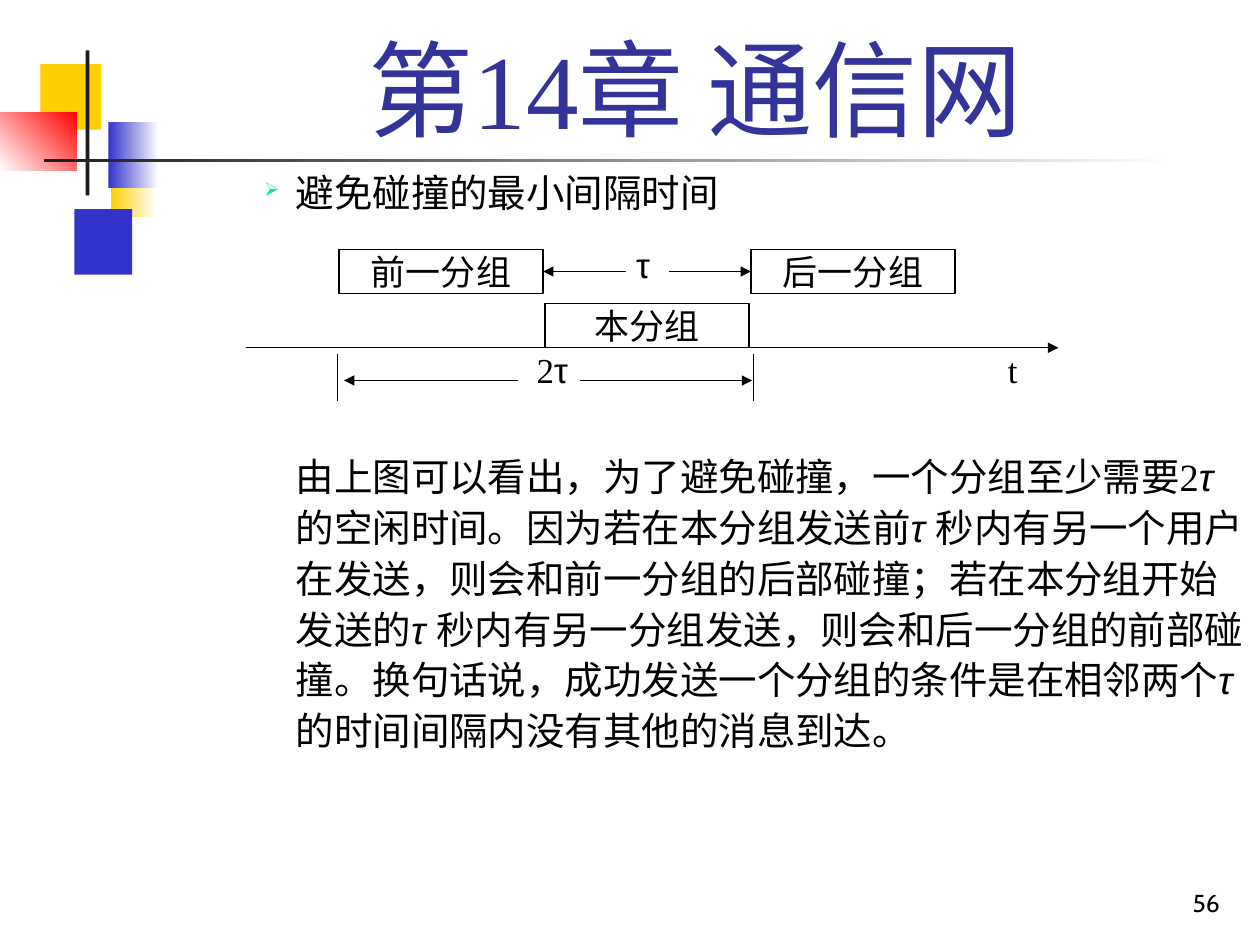
"""Build the slide on the minimum collision-free interval between packets."""
from lxml import etree
from pptx import Presentation
from pptx.dml.color import RGBColor
from pptx.enum import shapes, text
from pptx.oxml import ns
from pptx.util import Inches, Pt

BLACK = RGBColor(0, 0, 0)
WHITE = RGBColor(255, 255, 255)
YELLOW = RGBColor(0xFF, 0xCF, 0x01)
BLUE = RGBColor(0x33, 0x33, 0xCC)
RED = RGBColor(255, 0, 0)
CHARCOAL = RGBColor(0x1C, 0x1C, 0x1C)
TITLE_BLUE = RGBColor(0x33, 0x33, 0x99)
BULLET_GREEN = "00E4A8"
SERIF, SANS, NUMBER_FONT = "Times New Roman", "Arial", "Cabin"

TITLE = "第14章 通信网"
HEADING = "避免碰撞的最小间隔时间"
EXPLANATION = [
    "由上图可以看出，为了避免碰撞，一个分组至少需要2", "τ ",
    "的空闲时间。因为若在本分组发送前", "τ ",
    "秒内有另一个用户在发送，则会和前一分组的后部碰撞；若在本分组开始发送的", "τ ",
    "秒内有另一分组发送，则会和后一分组的前部碰撞。换句话说，成功发送一个分组的条件是在相邻两个", "τ ",
    "的时间间隔内没有其他的消息到达。",
]
PAGE_NUMBER = "56"

# left, top, width, height, colour, gradient angle (None for solid)
DECORATIONS = [
    (0.88, 1.2, 0.36, 0.52, YELLOW, 0),
    (0.59, 1.66, 0.46, 0.52, BLUE, None),
    (0.32, 0.51, 0.48, 0.52, YELLOW, None),
    (0.86, 0.97, 0.4, 0.52, BLUE, 0),
    (0, 0.89, 0.61, 0.46, RED, 225),
    (0.68, 0.4, 0.03, 1.15, CHARCOAL, None),
    (0.35, 1.26, 9, 0.03, CHARCOAL, 0),
]
PACKETS = [("前一分组", 1.98), ("本分组", 2.41), ("后一分组", 1.98)]
PACKET_LEFT, PACKET_STEP, PACKET_WIDTH, PACKET_HEIGHT = 2.69, 1.635, 1.62, 0.35
AXIS_Y, SPAN_Y, DELAY_Y = 2.76, 3.02, 2.155
SPAN_LEFT, SPAN_RIGHT = 2.68, 5.98
LABELS = [
    ([("2", SERIF), ("τ", SANS)], 4.16, 2.72, 0.55),
    ([("τ", SANS)], 4.95, 1.88, 0.44),
    ([("t", SERIF)], 7.9, 2.72, 0.37),
]


def add_rectangle(slide, left, top, width, height):
    shape = slide.shapes.add_shape(
        shapes.MSO_SHAPE.RECTANGLE, Inches(left), Inches(top), Inches(width), Inches(height))
    shape.shadow.inherit = False
    return shape


def add_decoration(slide, left, top, width, height, colour, angle):
    shape = add_rectangle(slide, left, top, width, height)
    shape.line.fill.background()
    if angle is None:
        shape.fill.solid()
        shape.fill.fore_color.rgb = colour
        return
    shape.fill.gradient()
    shape.fill.gradient_angle = angle
    for stop, stop_colour in zip(shape.fill.gradient_stops, (colour, WHITE)):
        stop.color.rgb = stop_colour


def add_line(slide, x1, y1, x2, y2, arrow=None):
    line = slide.shapes.add_connector(
        shapes.MSO_CONNECTOR.STRAIGHT, Inches(x1), Inches(y1), Inches(x2), Inches(y2))
    line.line.color.rgb = BLACK
    line.line.width = Pt(0.75)
    if arrow:
        etree.SubElement(line.line._get_or_add_ln(), ns.qn(f"a:{arrow}"), type="triangle")
    etree.SubElement(line._element.spPr, ns.qn("a:effectLst"))
    return line


def add_text_box(slide, left, top, width, height, anchor=text.MSO_ANCHOR.TOP):
    frame = slide.shapes.add_textbox(
        Inches(left), Inches(top), Inches(width), Inches(height)).text_frame
    frame.word_wrap = True
    frame.vertical_anchor = anchor
    return frame


def style(paragraph, size, font=None, colour=BLACK, alignment=None):
    paragraph.font.size = Pt(size)
    paragraph.font.color.rgb = colour
    if font:
        paragraph.font.name = font
    if alignment is not None:
        paragraph.alignment = alignment


def add_run(paragraph, words, font, italic=None):
    run = paragraph.add_run()
    run.text = words
    run.font.name = font
    run.font.italic = italic


def add_packet(slide, name, left, top):
    shape = add_rectangle(slide, left, top, PACKET_WIDTH, PACKET_HEIGHT)
    shape.fill.solid()
    shape.fill.fore_color.rgb = WHITE
    shape.line.color.rgb = BLACK
    shape.line.width = Pt(0.75)
    frame = shape.text_frame
    frame.margin_top = frame.margin_bottom = 0
    frame.vertical_anchor = text.MSO_ANCHOR.MIDDLE
    frame.text = name
    style(frame.paragraphs[0], 20, SERIF, alignment=text.PP_ALIGN.CENTER)
    return shape


def add_diagram(slide):
    previous, _, following = [
        add_packet(slide, name, PACKET_LEFT + index * PACKET_STEP, top)
        for index, (name, top) in enumerate(PACKETS)]
    add_line(slide, 4.31, DELAY_Y, 4.97, DELAY_Y, "headEnd").begin_connect(previous, 3)
    add_line(slide, 5.31, DELAY_Y, 5.96, DELAY_Y, "tailEnd").end_connect(following, 1)
    add_line(slide, 1.95, AXIS_Y, 8.4, AXIS_Y, "tailEnd")
    add_line(slide, 2.73, SPAN_Y, 4.11, SPAN_Y, "headEnd")
    add_line(slide, 4.6, SPAN_Y, 5.97, SPAN_Y, "tailEnd")
    for x in (SPAN_LEFT, SPAN_RIGHT):
        add_line(slide, x, 2.81, x, 3.18)
    for runs, left, top, width in LABELS:
        paragraph = add_text_box(slide, left, top, width, 0.49).paragraphs[0]
        for words, font in runs:
            add_run(paragraph, words, font)
        style(paragraph, 20)


def add_body(slide):
    frame = add_text_box(slide, 2, 1.29, 8, 6.21)
    heading, explanation = frame.paragraphs[0], frame.add_paragraph()
    for paragraph, indent in ((heading, -0.25), (explanation, 0)):
        properties = paragraph._p.get_or_add_pPr()
        properties.set("marL", str(Inches(0.25)))
        properties.set("indent", str(Inches(indent)))
    properties = heading._p.get_or_add_pPr()
    colour = etree.SubElement(properties, ns.qn("a:buClr"))
    etree.SubElement(colour, ns.qn("a:srgbClr"), val=BULLET_GREEN)
    etree.SubElement(properties, ns.qn("a:buSzPct"), val="50000")
    etree.SubElement(properties, ns.qn("a:buChar"), char="➢")
    heading.text = HEADING
    style(heading, 22, SERIF)
    for words in EXPLANATION:
        symbol = words == "τ "
        add_run(explanation, words, SANS if symbol else SERIF, symbol)
    explanation.line_spacing = 1.1
    explanation.space_before = Pt(133.5)
    style(explanation, 22)


def main():
    presentation = Presentation()
    presentation.slide_width, presentation.slide_height = Inches(10), Inches(7.5)
    slide = presentation.slides.add_slide(presentation.slide_layouts[6])
    for decoration in DECORATIONS:
        add_decoration(slide, *decoration)
    title = add_text_box(slide, 1.26, 0.23, 8.52, 1.01, text.MSO_ANCHOR.BOTTOM)
    title.text = TITLE
    style(title.paragraphs[0], 60, SERIF, TITLE_BLUE, text.PP_ALIGN.CENTER)
    add_body(slide)
    add_diagram(slide)
    number = add_text_box(slide, 7.7, 6.83, 2.08, 0.5, text.MSO_ANCHOR.BOTTOM)
    number.text = PAGE_NUMBER
    style(number.paragraphs[0], 14, NUMBER_FONT, alignment=text.PP_ALIGN.RIGHT)
    presentation.save("out.pptx")


if __name__ == "__main__":
    main()
